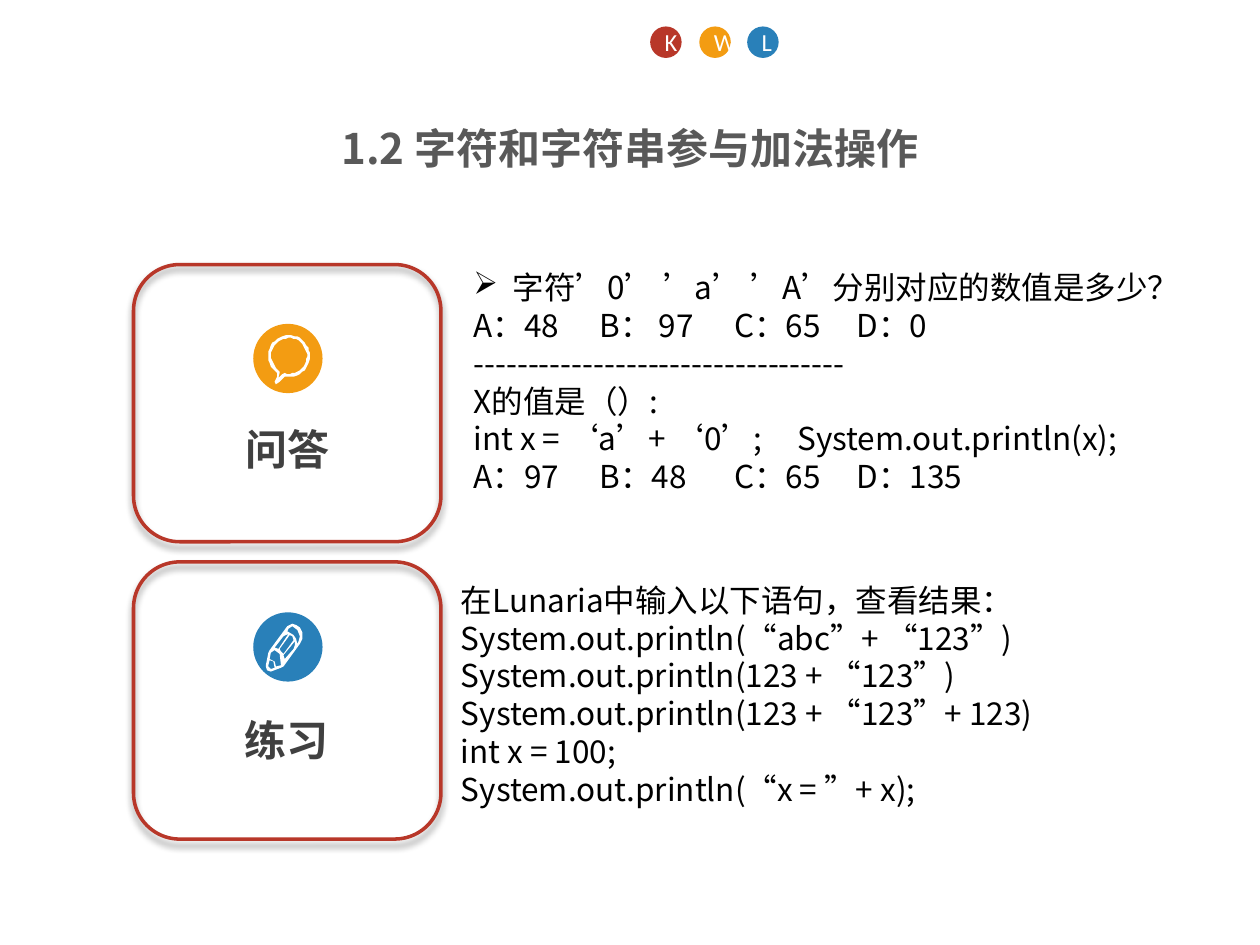
from math import cos, radians, sin

from lxml.etree import SubElement
from pptx import Presentation
from pptx.dml.color import RGBColor
from pptx.enum.shapes import MSO_SHAPE
from pptx.enum.text import MSO_ANCHOR, MSO_AUTO_SIZE, PP_ALIGN
from pptx.oxml.ns import qn
from pptx.util import Inches, Pt

INK = {"red": "B83729", "gold": "F39C12", "blue": "2980B9", "white": "FFFFFF",
       "black": "000000", "dark": "404040", "gray": "595959"}
HAN, LATIN = "Noto Sans CJK SC", "Calibri"

QUIZ = [
    "字符’0’ ’a’ ’A’分别对应的数值是多少？",
    "A：48\tB： 97\tC：65\tD：0",
    "-" * 34,
    "X的值是（）:",
    "int x = ‘a’+ ‘0’;\tSystem.out.println(x);",
    "A：97\tB：48\tC：65\tD：135",
]
CODE = [
    "在Lunaria中输入以下语句，查看结果：",
    "System.out.println(“abc”+ “123”)",
    "System.out.println(123 + “123”)",
    "System.out.println(123 + “123”+ 123)",
    "int x = 100;",
    "System.out.println(“x = ”+ x);",
]
# Tab stops in inches, by number of tabs in the line
STOPS = {1: [2.57], 3: [1, 2.07, 3.04]}

# Pencil contours, in hundredths of an inch from the icon's corner
PENCIL = [
    [(26, 14), (25, 16), (24, 12), (22, 9), (17, 6), (18, 4), (21, 2),
     (25, 5), (27, 10)],
    [(8, 34), (7, 30), (3, 28), (4, 23), (7, 21), (11, 24), (12, 33)],
    [(4, 36), (2, 34), (2, 33), (3, 29), (6, 30), (7, 35)],
    [(10, 20), (7, 19), (14, 10), (18, 8)],
    [(14, 24), (12, 22), (11, 20), (19, 9), (21, 10), (22, 13)],
    [(15, 28), (14, 25), (23, 14), (23, 17), (22, 20)],
    [(27, 3), (24, 0.7), (21, 0), (17, 2), (3, 21), (2, 23), (0, 33),
     (0, 34), (1, 37), (4, 38), (12, 35), (14, 34), (27, 16), (29, 12),
     (29, 7)],
]


def arc(r, start, end):
    """Points of the bubble's round part, in hundredths of an inch."""
    turns = [radians(start + (end - start) * i / 40) for i in range(41)]
    return [(16.5 + r * cos(t), 16.5 + r * sin(t)) for t in turns]


BUBBLE = [
    arc(16.5, 125, 462) + [(12, 34), (9, 37), (6, 39), (5, 37), (7, 33)],
    arc(14.2, 121, 464) + [(11, 31), (8, 34), (9, 30)],
]


def hue(name):
    return RGBColor.from_string(INK[name])


def write(frame, lines, size, color, font=HAN, bold=False, align=None):
    for i, line in enumerate(lines):
        para = frame.paragraphs[0] if i == 0 else frame.add_paragraph()
        para.alignment = align
        run = para.add_run()
        run.text = line
        run.font.size, run.font.bold = Pt(size), bold
        run.font.color.rgb = hue(color)
        run.font.name = font
        SubElement(run.font._element, qn("a:ea"), typeface=font)
        stops = STOPS.get(line.count("\t"))
        if stops:
            tabs = SubElement(para._p.get_or_add_pPr(), qn("a:tabLst"))
            for stop in stops:
                SubElement(tabs, qn("a:tab"), pos=str(Inches(stop)), algn="l")


def label(slide, box, lines, size, color, wrap=True, grow=False, **style):
    frame = slide.shapes.add_textbox(*map(Inches, box)).text_frame
    frame.word_wrap = wrap
    if grow:
        frame.auto_size = MSO_AUTO_SIZE.SHAPE_TO_FIT_TEXT
    write(frame, lines, size, color, **style)
    return frame


def bullet(para):
    props = para._p.get_or_add_pPr()
    props.set("marL", str(Inches(0.31)))
    props.set("indent", str(-Inches(0.31)))
    SubElement(props, qn("a:buChar"), char="➢")


def paint(shape, color):
    shape.shadow.inherit = False
    shape.fill.solid()
    shape.fill.fore_color.rgb = hue(color)
    shape.line.fill.background()


def disc(slide, x, y, size, color):
    dot = slide.shapes.add_shape(MSO_SHAPE.OVAL, Inches(x), Inches(y),
                                 Inches(size), Inches(size))
    paint(dot, color)
    return dot


def badge(slide, x, color, letter):
    frame = disc(slide, x, 0.21, 0.25, color).text_frame
    frame.vertical_anchor = MSO_ANCHOR.MIDDLE
    write(frame, [letter], 14, "white", LATIN, align=PP_ALIGN.CENTER)


def icon(slide, x, y, loops):
    pen = slide.shapes.build_freeform(*loops[0][0], scale=Inches(0.01))
    for i, loop in enumerate(loops):
        if i:
            pen.move_to(*loop[0])
        pen.add_line_segments(loop[1:], close=True)
    paint(pen.convert_to_shape(Inches(x), Inches(y)), "white")


def card(slide, y):
    frame = slide.shapes.add_shape(MSO_SHAPE.ROUNDED_RECTANGLE, Inches(1.06),
                                   Inches(y), Inches(2.44), Inches(2.2))
    frame.fill.background()
    frame.line.color.rgb, frame.line.width = hue("red"), Pt(2)
    # Soft shadow straight below
    frame.shadow.inherit = False
    effects = frame._element.spPr.find(qn("a:effectLst"))
    shade = SubElement(effects, qn("a:outerShdw"), blurRad=str(Pt(4)),
                       dist=str(Pt(3)), dir="5400000", rotWithShape="0")
    tint = SubElement(shade, qn("a:srgbClr"), val=INK["black"])
    SubElement(tint, qn("a:alpha"), val="40000")


def name(slide, x, y, text):
    frame = label(slide, (x, y, 0.87, 0.45), [text], 24, "dark", bold=True)
    para = frame.paragraphs[0]
    para.line_spacing = 0.9
    para.space_before = para.space_after = Pt(4.8)


def main():
    deck = Presentation()
    deck.slide_width, deck.slide_height = Inches(10), Inches(7.5)
    slide = deck.slides.add_slide(deck.slide_layouts[6])

    # Question card
    quiz = label(slide, (3.66, 2.08, 6.34, 2.22), QUIZ, 18, "black", grow=True)
    bullet(quiz.paragraphs[0])
    card(slide, 2.1)
    name(slide, 1.85, 3.36, "问答")
    disc(slide, 2.01, 2.57, 0.55, "gold")
    icon(slide, 2.13, 2.66, BUBBLE)

    # Heading and badges
    label(slide, (0, 0.92, 10, 0.47), ["1.2 字符和字符串参与加法操作"], 24,
          "gray", bold=True, align=PP_ALIGN.CENTER)
    for x, color, letter in [(5.16, "red", "K"), (5.55, "gold", "W"),
                             (5.93, "blue", "L")]:
        badge(slide, x, color, letter)

    # Practice card
    name(slide, 1.84, 5.67, "练习")
    disc(slide, 2.01, 4.86, 0.55, "blue")
    icon(slide, 2.11, 4.95, PENCIL)
    card(slide, 4.46)
    label(slide, (3.56, 4.56, 5, 2.22), CODE, 18, "black", wrap=False, grow=True)

    deck.save("out.pptx")


if __name__ == "__main__":
    main()
